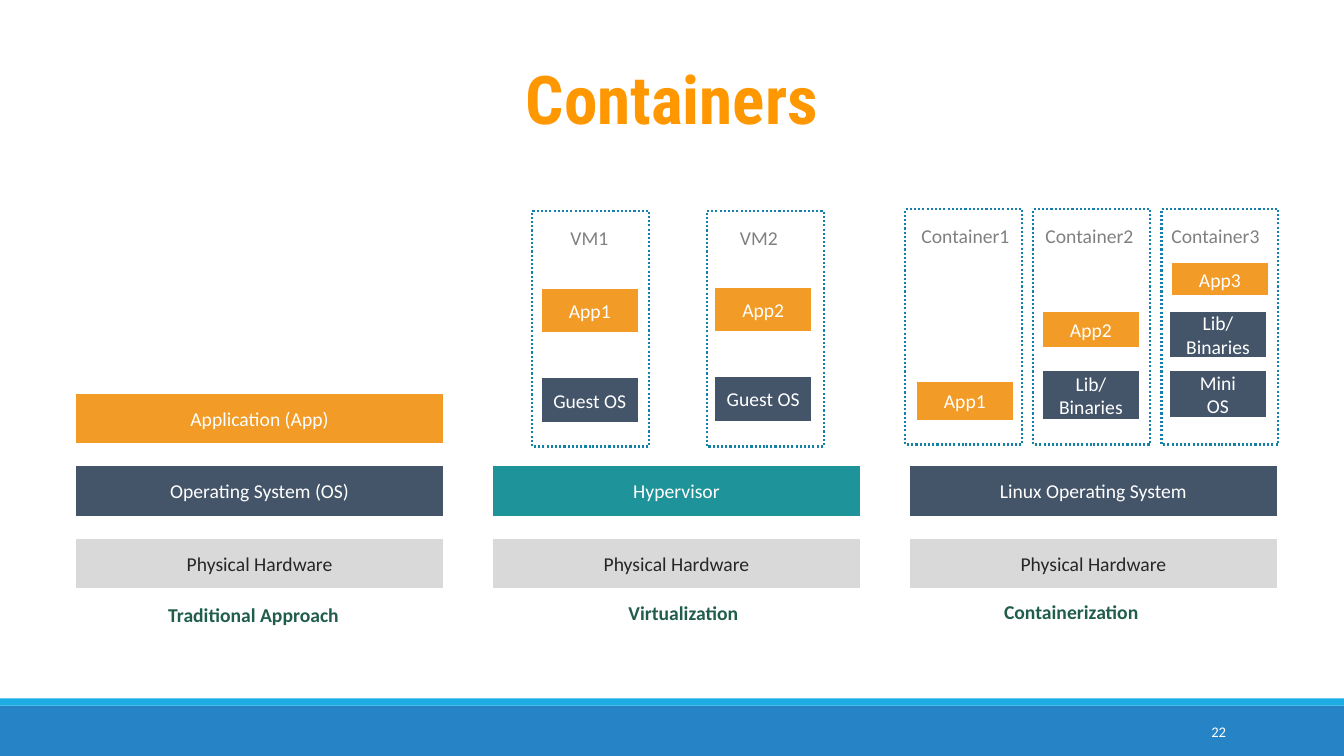
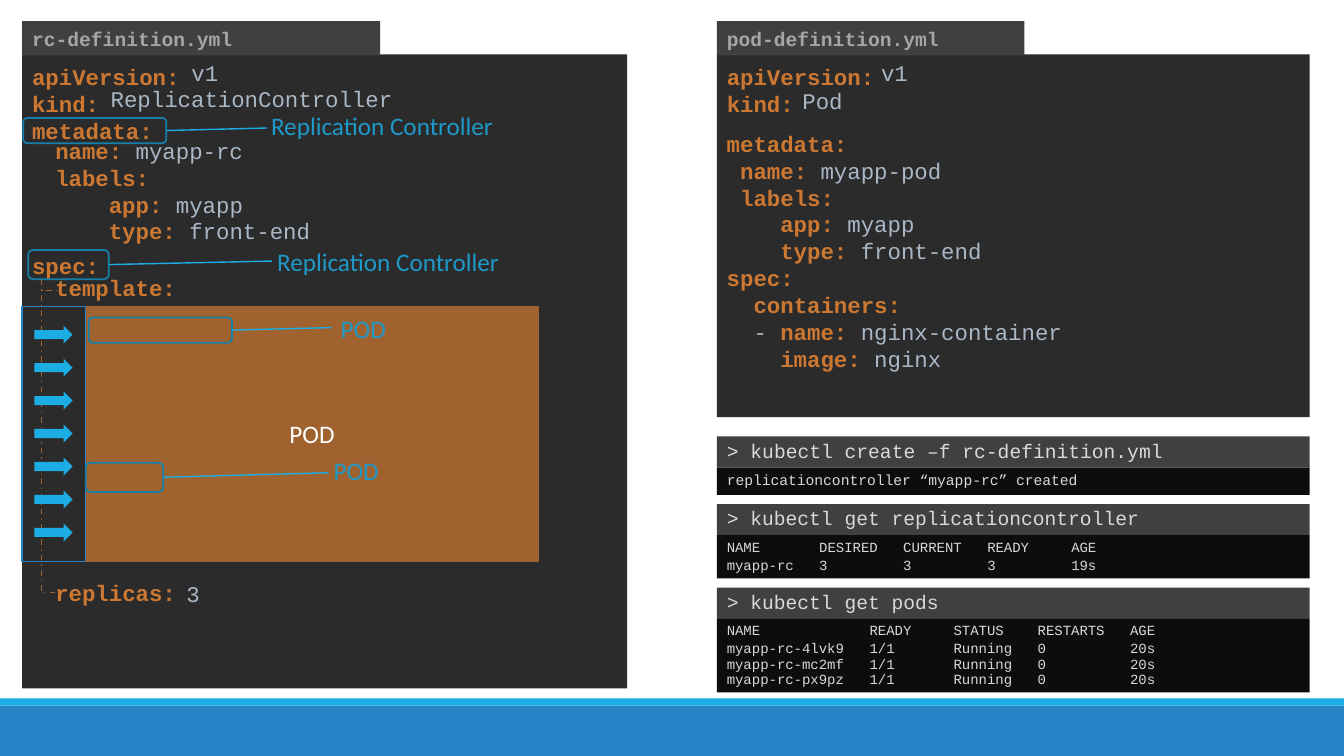
from lxml import etree
from pptx import Presentation
from pptx.dml.color import RGBColor
from pptx.enum.dml import MSO_LINE
from pptx.enum.shapes import MSO_CONNECTOR, MSO_SHAPE
from pptx.enum.text import MSO_ANCHOR, MSO_AUTO_SIZE, PP_ALIGN
from pptx.oxml.ns import qn
from pptx.util import Inches, Pt

RECTANGLE, ROUNDED, ARROW = MSO_SHAPE.RECTANGLE, MSO_SHAPE.ROUNDED_RECTANGLE, MSO_SHAPE.RIGHT_ARROW
STRAIGHT, ELBOW = MSO_CONNECTOR.STRAIGHT, MSO_CONNECTOR.ELBOW
DOTTED, DASH_DOT = MSO_LINE.ROUND_DOT, MSO_LINE.DASH_DOT
TOP, MIDDLE = MSO_ANCHOR.TOP, MSO_ANCHOR.MIDDLE
LEFT, CENTER, RIGHT = PP_ALIGN.LEFT, PP_ALIGN.CENTER, PP_ALIGN.RIGHT

WIDTH, HEIGHT = 13.33, 7.5
BODY_FONT, CODE_FONT, TITLE_FONT = "Calibri", "Courier New", "Roboto Condensed"
INSETS = (0.1, 0.05, 0.1, 0.05)
CODE_INSETS = (0.1, 0.09, 0.1, 0.05)
COLORS = {
    "band": "2683C6", "accent": "1CADE4", "title": "FF9800", "white": "FFFFFF",
    "hardware": "D9D9D9", "hardware_text": "262626", "system": "445469",
    "app": "F29B26", "hypervisor": "1E9399", "caption": "215D4C",
    "frame": "1580A9", "guest_label": "808080", "panel": "2B2B2B",
    "tab": "404040", "tab_text": "A6A6A6", "key": "CC7832", "value": "A9B7C6",
    "pod": "A06330", "callout": "1E99C8", "terminal": "0D0D0D", "terminal_text": "D9D9D9",
}

COLUMN_LEFT, COLUMN_PITCH, COLUMN_WIDTH = 0.74, 4.135, 3.67
LAYER_BOTTOM, LAYER_PITCH, LAYER_HEIGHT = 5.33, 0.72, 0.52
GUEST_WIDTH, GUEST_HEIGHT, PART_WIDTH = 1.16, 2.34, 0.98

STACKS = [
    ([("Physical Hardware", "hardware"), ("Operating System (OS)", "system"),
      ("Application (App)", "app")], "Traditional Approach", 0.83, 5.93),
    ([("Physical Hardware", "hardware"), ("Hypervisor", "hypervisor")],
     "Virtualization", 1.26, 5.91),
    ([("Physical Hardware", "hardware"), ("Linux Operating System", "system")],
     "Containerization", 0.85, 5.9),
]
GUESTS = [
    (5.28, 2.09, "VM1", 0.28, [("Guest OS", "system", 0.08, 1.65, 0.46),
                               ("App1", "app", 0.08, 0.76, 0.46)]),
    (7.01, 2.09, "VM2", 0.23, [("Guest OS", "system", 0.07, 1.64, 0.46),
                               ("App2", "app", 0.07, 0.75, 0.46)]),
    (8.98, 2.07, "Container1", 0.06, [("App1", "app", 0.1, 1.71, 0.4)]),
    (10.25, 2.07, "Container2", 0.02, [("Lib/ Binaries", "system", 0.08, 1.6, 0.5),
                                       ("App2", "app", 0.08, 1.01, 0.38)]),
    (11.52, 2.07, "Container3", 0, [("Mini\nOS", "system", 0.07, 1.6, 0.48),
                                    ("Lib/ Binaries", "system", 0.07, 1.01, 0.48),
                                    ("App3", "app", 0.09, 0.53, 0.34)]),
]
CODE_BLOCKS = [
    (0.45, 1.31, ["name: myapp-rc", "labels:", "    app: myapp", "    type: front-end"]),
    (0.45, 2.67, ["template:"]),
    (0.45, 5.7, ["replicas:"]),
    (7.11, 1.24, ["metadata:", " name: myapp-pod", " labels:", "    app: myapp",
                  "    type: front-end", "spec:", "  containers:",
                  "  - name: nginx-container", "    image: nginx"]),
]
CODE_VALUES = [(1.8, 0.54, "v1"), (1, 0.8, "ReplicationController"), (1.75, 5.71, "3"),
               (8.64, 0.54, "v1"), (7.86, 0.82, "Pod")]
CALLOUTS = [
    ((0.23, 1.17, 1.42, 0.25), (2.65, 1.27), (2.59, 1.05), "Replication Controller"),
    ((0.88, 3.15, 1.42, 0.25), (3.29, 3.25), (3.28, 3.06), "POD"),
    ((0.28, 2.48, 0.8, 0.29), (2.7, 2.59), (2.65, 2.39), "Replication Controller"),
    ((0.85, 4.59, 0.77, 0.29), (3.26, 4.69), (3.21, 4.47), "POD"),
]
TERMINALS = [
    (4.33, "> kubectl create –f rc-definition.yml", 0.27, 10.5, [],
     ["replicationcontroller “myapp-rc” created"]),
    (5, "> kubectl get replicationcontroller", 0.43, 10, [11, 21, 31, 41],
     ["NAME\tDESIRED\tCURRENT\tREADY\tAGE", "myapp-rc\t3\t3\t3\t19s"]),
    (5.83, "> kubectl get pods", 0.73, 10, [17, 27, 37, 48],
     ["NAME\tREADY\tSTATUS\tRESTARTS\tAGE"]
     + [f"myapp-rc-{pod}\t1/1\tRunning\t0\t20s" for pod in ("4lvk9", "mc2mf", "px9pz")]),
]


def rgb(name):
    """Return the named colour."""
    return RGBColor.from_string(COLORS[name])


def move(shape, box):
    """Set left, top, width and height of a shape in inches."""
    shape.left, shape.top, shape.width, shape.height = map(Inches, box)


def write(shape, lines, *, size=14, font=BODY_FONT, color="white", bold=False, align=LEFT,
          anchor=TOP, insets=INSETS, spacing=None, tabs=(), before=None, after=None):
    """Write one paragraph per line; a line is a string or a list of (text, colour, bold)."""
    frame = shape.text_frame
    frame.word_wrap, frame.auto_size, frame.vertical_anchor = True, MSO_AUTO_SIZE.NONE, anchor
    (frame.margin_left, frame.margin_top,
     frame.margin_right, frame.margin_bottom) = map(Inches, insets)
    for index, line in enumerate(lines):
        paragraph = frame.add_paragraph() if index else frame.paragraphs[0]
        paragraph.alignment = align
        if tabs:
            properties = paragraph._p.get_or_add_pPr()
            tab_list = etree.SubElement(properties, qn("a:tabLst"))
            for stop in tabs:
                etree.SubElement(tab_list, qn("a:tab"), pos=str(Pt(stop)), algn="l")
        if spacing:
            paragraph.line_spacing = spacing
        if index in (before or {}):
            paragraph.space_before = Pt(before[index])
        if index in (after or {}):
            paragraph.space_after = Pt(after[index])
        for text, run_color, run_bold in [(line, color, bold)] if isinstance(line, str) else line:
            run = paragraph.add_run()
            run.text = text
            run.font.name, run.font.size, run.font.bold = font, Pt(size), run_bold
            run.font.color.rgb = rgb(run_color)


def add_text(slide, box, lines, **text_format):
    """Add a text box."""
    shape = slide.shapes.add_textbox(*map(Inches, box))
    write(shape, lines, **text_format)


def style_line(line, color, width, dash=None):
    """Set colour, width and dash of a line."""
    line.color.rgb, line.width = rgb(color), Pt(width)
    if dash:
        line.dash_style = dash


def add_shape(slide, box, kind=RECTANGLE, fill=None, line=None, width=1.25, dash=None):
    """Add a flat preset shape with optional fill and outline."""
    shape = slide.shapes.add_shape(kind, *map(Inches, box))
    shape.shadow.inherit = False
    if fill:
        shape.fill.solid()
        shape.fill.fore_color.rgb = rgb(fill)
    else:
        shape.fill.background()
    if line:
        style_line(shape.line, line, width, dash)
    else:
        shape.line.fill.background()
    return shape


def add_line(slide, start, end, color, kind=STRAIGHT, dash=None, bend=None):
    """Add a connector; bend is the share of its width where an elbow turns."""
    connector = slide.shapes.add_connector(kind, *map(Inches, start + end))
    style_line(connector.line, color, 1, dash)
    properties = connector.element.spPr
    etree.SubElement(properties, qn("a:effectLst"))
    if bend is not None:
        guides = properties.find(qn("a:prstGeom")).get_or_add_avLst()
        etree.SubElement(guides, qn("a:gd"), name="adj1", fmla=f"val {round(bend * 100000)}")


def add_bands(presentation, slide):
    """Place the two bottom bands on the slide master."""
    bands = [((0, 7, WIDTH, 0.5), "band"), ((0, 6.93, WIDTH, 0.07), "accent")]
    for index, (box, color) in enumerate(bands):
        element = add_shape(slide, box, fill=color).element
        element.xpath(".//p:cNvPr")[0].set("id", str(100 + index))
        presentation.slide_master.shapes.element.insert(2 + index, element)


def add_block(slide, box, text, fill):
    """Add a filled block with a centred label."""
    shape = add_shape(slide, box, fill=fill, line="white", width=2)
    color = "hardware_text" if fill == "hardware" else "white"
    write(shape, text.split("\n"), color=color, align=CENTER, anchor=MIDDLE)


def add_stack(slide, left, layers, caption, caption_offset, caption_top):
    """Build one column of layers from the bottom up, with its caption."""
    for row, (text, fill) in enumerate(layers):
        top = LAYER_BOTTOM - row * LAYER_PITCH
        add_block(slide, (left, top, COLUMN_WIDTH, LAYER_HEIGHT), text, fill)
    add_text(slide, (left + caption_offset, caption_top, 2.15, 0.34), [caption],
             color="caption", bold=True)


def add_guest(slide, left, top, label, label_offset, parts):
    """Build a dotted machine or container frame with its parts."""
    add_shape(slide, (left, top, GUEST_WIDTH, GUEST_HEIGHT), line="frame", width=1.5, dash=DOTTED)
    add_text(slide, (left + label_offset, top + 0.1, GUEST_WIDTH, 0.34), [label],
             color="guest_label")
    for text, fill, across, down, height in parts:
        add_block(slide, (left + across, top + down, PART_WIDTH, height), text, fill)


def code_runs(line):
    """Split a YAML line into indent, key and value runs."""
    key, colon, value = line.partition(":")
    name = key.lstrip(" -")
    indent = key[:len(key) - len(name)]
    runs = [(indent, "value", False), (name + colon, "key", True), (value, "value", False)]
    return [run for run in runs if run[0]]


def add_editor(slide, box, tab_width, file_name, lines, before=None):
    """Build a code panel with its file tab above."""
    left, top, _, _ = box
    write(add_shape(slide, box, fill="panel"), [code_runs(line) for line in lines],
          size=16, font=CODE_FONT, insets=CODE_INSETS, before=before)
    tab = add_shape(slide, (left, top - 0.33, tab_width, 0.34), fill="tab")
    write(tab, [file_name], font=CODE_FONT, color="tab_text", bold=True, anchor=MIDDLE)


def add_pod_area(slide, left, top):
    """Build the pod block and the arrows that indent it."""
    gutter, height = 0.63, 2.53
    pod = add_shape(slide, (left + gutter, top, 4.49, height), fill="pod", line="pod")
    write(pod, ["POD"], size=18, align=CENTER, anchor=MIDDLE)
    for end in (2.88, 5.88):
        add_line(slide, (0.41, 2.78), (0.57, end), "pod", ELBOW, DASH_DOT, 0.03)
    add_shape(slide, (left, top, gutter, height), line="band")
    for row in range(7):
        add_shape(slide, (left + 0.12, top + 0.19 + row * 0.327, 0.38, 0.18), ARROW, fill="accent")


def add_callout(slide, box, line_end, label_at, text):
    """Outline a word and lead a line to its label."""
    left, top, width, height = box
    add_shape(slide, box, ROUNDED, line="frame")
    add_line(slide, (left + width, top + height / 2), line_end, "accent")
    add_text(slide, label_at + (2.43, 0.4), [text], size=18, color="callout")


def add_terminal(slide, command_bar, top, command, output_height, size, columns, output):
    """Build a command bar with the output below."""
    left, width, bar_height = 7.11, 5.88, 0.31
    style = {"font": CODE_FONT, "color": "terminal_text", "spacing": 0.9}
    move(command_bar, (left, top, width, bar_height))
    command_bar.fill.solid()
    command_bar.fill.fore_color.rgb = rgb("tab")
    write(command_bar, [command], **style)
    result = add_shape(slide, (left, top + bar_height, width, output_height), fill="terminal")
    write(result, output, size=size, tabs=[column * size * 0.6 for column in columns],
          after={0: 2}, **style)


def build_containers(slide):
    """Build the comparison of three ways to run applications."""
    move(slide.shapes.title, (1.7, 0.55, 9.93, 0.83))
    write(slide.shapes.title, ["Containers"], size=48, font=TITLE_FONT, color="title",
          bold=True, align=CENTER, anchor=MIDDLE, insets=(0.13,) * 4)
    for column, stack in enumerate(STACKS):
        add_stack(slide, COLUMN_LEFT + column * COLUMN_PITCH, *stack)
    for guest in GUESTS:
        add_guest(slide, *guest)
    add_text(slide, (10.83, 7.06, 1.43, 0.4), ["22"], size=10.5, align=RIGHT, anchor=MIDDLE)


def build_replication(slide):
    """Build the replication controller walk-through."""
    title, body = slide.shapes.title, slide.placeholders[1]
    title.element.getparent().remove(title.element)
    properties = body.text_frame.paragraphs[0]._p.get_or_add_pPr()
    properties.set("marL", "0")
    properties.set("indent", "0")
    etree.SubElement(properties, qn("a:buNone"))
    body.text_frame.paragraphs[0].space_before = Pt(0)

    add_editor(slide, (0.22, 0.54, 6, 6.29), 3.55, "rc-definition.yml",
               ["apiVersion:", "kind:", "metadata:", "spec:"], {3: 77})
    add_editor(slide, (7.11, 0.54, 5.88, 3.6), 3.05, "pod-definition.yml",
               ["apiVersion:", "kind:"])
    for left, top, lines in CODE_BLOCKS:
        add_text(slide, (left, top, 5.5, 0.27 * len(lines) + 0.1),
                 [code_runs(line) for line in lines], size=16, font=CODE_FONT)
    for left, top, value in CODE_VALUES:
        add_text(slide, (left, top, 0.14 * len(value) + 0.2, 0.37), [value],
                 size=16, font=CODE_FONT, color="value")
    add_pod_area(slide, 0.22, 3.04)
    for callout in CALLOUTS:
        add_callout(slide, *callout)
    for index, terminal in enumerate(TERMINALS):
        bar = add_shape(slide, (0, 0, 1, 1), fill="tab") if index else body
        add_terminal(slide, bar, *terminal)


def main():
    """Build and save the presentation."""
    presentation = Presentation()
    presentation.slide_width, presentation.slide_height = Inches(WIDTH), Inches(HEIGHT)
    layouts = presentation.slide_layouts
    containers = presentation.slides.add_slide(layouts.get_by_name("Title Only"))
    add_bands(presentation, containers)
    build_containers(containers)
    build_replication(presentation.slides.add_slide(layouts.get_by_name("Title and Content")))
    presentation.save("out.pptx")


if __name__ == "__main__":
    main()
